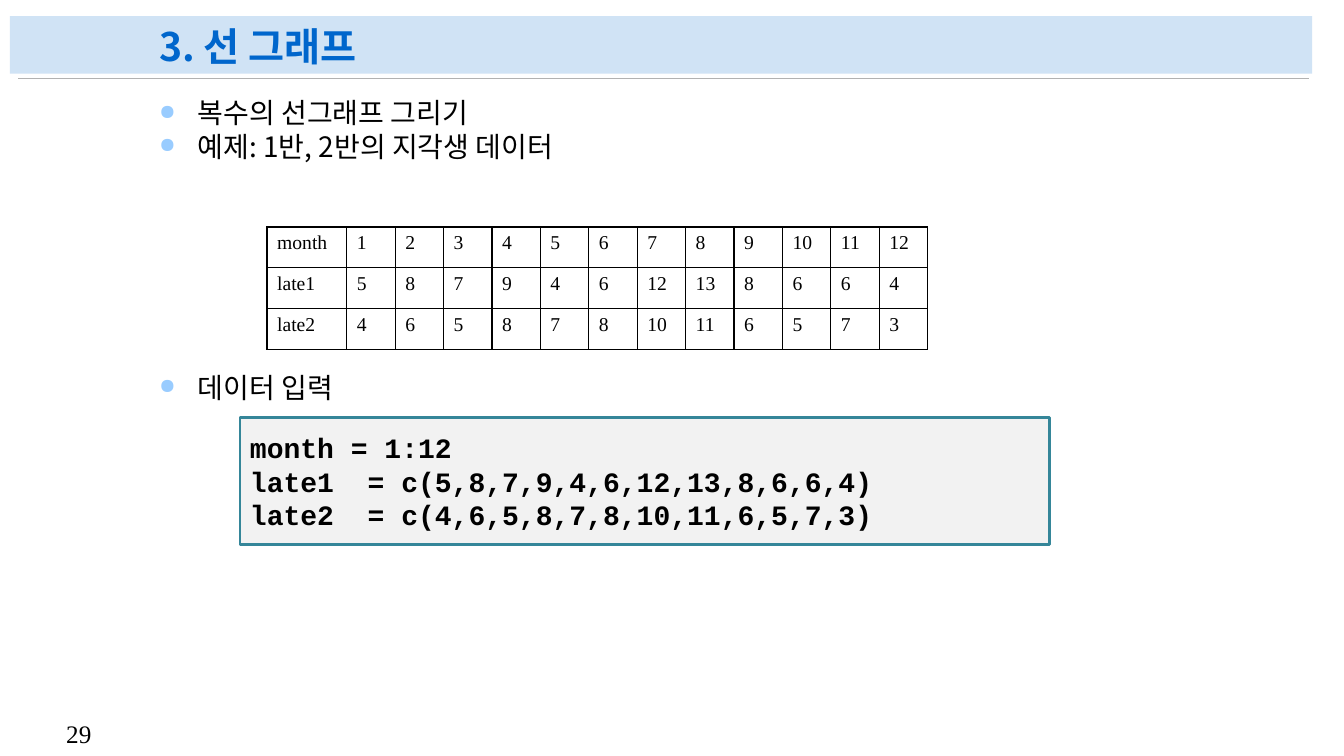
from lxml import etree
from pptx import Presentation
from pptx import util as u
from pptx.dml.color import RGBColor
from pptx.enum import shapes, text
from pptx.oxml import ns

BLACK = RGBColor(0x00, 0x00, 0x00)
WHITE = RGBColor(0xFF, 0xFF, 0xFF)
TITLE_BLUE = RGBColor(0x00, 0x66, 0xCC)
BAND_BLUE = RGBColor(0xD0, 0xE3, 0xF5)
BULLET_BLUE = RGBColor(0x99, 0xCC, 0xFF)
RULE_GREY = RGBColor(0xB2, 0xB2, 0xB2)
CODE_GREY = RGBColor(0xF2, 0xF2, 0xF2)
CODE_TEAL = RGBColor(0x35, 0x86, 0x99)

KOREAN, SERIF, MONO = "Noto Sans CJK KR", "Times New Roman", "Courier New"

MONTHS = range(1, 13)
LATE = {
    "late1": [5, 8, 7, 9, 4, 6, 12, 13, 8, 6, 6, 4],
    "late2": [4, 6, 5, 8, 7, 8, 10, 11, 6, 5, 7, 3],
}


def add_xml(parent, tag, **attributes):
    return etree.SubElement(parent, ns.qn(tag), attributes)


class LessonSlide:
    """Holds the current slide and draws each kind of element in its style."""

    def __init__(self, deck):
        self.shapes = deck.slides.add_slide(deck.slide_layouts[6]).shapes

    def style(self, paragraph, font, size, color=BLACK, bold=False):
        for run in paragraph.runs:
            run.font.name = font
            run.font.size = u.Pt(size)
            run.font.bold = bold
            run.font.color.rgb = color
            add_xml(run._r.get_or_add_rPr(), "a:ea", typeface=font)

    def rect(self, left, top, width, height, fill, border=None):
        box = self.shapes.add_shape(shapes.MSO_SHAPE.RECTANGLE, u.Cm(left),
                                    u.Cm(top), u.Cm(width), u.Cm(height))
        box.shadow.inherit = False
        box.fill.solid()
        box.fill.fore_color.rgb = fill
        if border is None:
            box.line.fill.background()
        else:
            box.line.color.rgb = border
            box.line.width = u.Pt(2)
        return box

    def rule(self, left, right, y):
        rule = self.shapes.add_connector(shapes.MSO_CONNECTOR.STRAIGHT, u.Cm(left),
                                         u.Cm(y), u.Cm(right), u.Cm(y))
        rule.line.color.rgb = RULE_GREY
        rule.line.width = u.Pt(0.5)
        add_xml(rule._element.spPr, "a:effectLst")

    def text_frame(self, left, top, width, height, content, wrap=True):
        frame = self.shapes.add_textbox(u.Cm(left), u.Cm(top), u.Cm(width),
                                        u.Cm(height)).text_frame
        frame.word_wrap = wrap
        frame.text = content
        return frame

    def title(self, content):
        frame = self.text_frame(3.76, 0.43, 25.55, 1.47, content)
        frame.vertical_anchor = text.MSO_ANCHOR.BOTTOM
        heading = frame.paragraphs[0]
        heading.line_spacing = 0.9
        self.style(heading, KOREAN, 28, TITLE_BLUE, bold=True)

    def page_number(self, number):
        frame = self.text_frame(1.42, 17.98, 1.27, 1.02, str(number), wrap=False)
        self.style(frame.paragraphs[0], SERIF, 18)

    def bullets(self, top, items):
        frame = self.text_frame(3.76, top, 25.55, len(items) + 0.25, "\n".join(items))
        indent = u.Cm(0.97)
        for index, item in enumerate(frame.paragraphs):
            item.line_spacing = 0.9
            item.space_before = u.Pt(2 if index else 0)
            props = item._p.get_or_add_pPr()
            props.set("marL", str(indent))
            props.set("indent", str(-indent))
            add_xml(add_xml(props, "a:buClr"), "a:srgbClr", val=str(BULLET_BLUE))
            add_xml(props, "a:buSzPct", val="75000")
            add_xml(props, "a:buChar", char="●")
            self.style(item, KOREAN, 20)

    def table(self, left, top, label_width, value_width, row_height, rows):
        columns = len(rows[0])
        grid = self.shapes.add_table(
            len(rows), columns, u.Cm(left), u.Cm(top),
            u.Cm(label_width + value_width * (columns - 1)),
            u.Cm(row_height * len(rows))).table
        for index, column in enumerate(grid.columns):
            column.width = u.Cm(value_width if index else label_width)
        for grid_row, values in zip(grid.rows, rows):
            grid_row.height = u.Cm(row_height)
            for cell, value in zip(grid_row.cells, values):
                cell.text_frame.text = str(value)
                self.style(cell.text_frame.paragraphs[0], SERIF, 14)
                self.cell_borders(cell)
                cell.fill.solid()
                cell.fill.fore_color.rgb = WHITE

    def cell_borders(self, cell):
        props = cell._tc.get_or_add_tcPr()
        for side in ("a:lnL", "a:lnR", "a:lnT", "a:lnB"):
            edge = add_xml(props, side, w=str(u.Pt(1)))
            add_xml(add_xml(edge, "a:solidFill"), "a:srgbClr", val=str(BLACK))

    def code(self, left, top, width, height, lines):
        frame = self.rect(left, top, width, height, CODE_GREY, CODE_TEAL).text_frame
        frame.word_wrap = True
        frame.vertical_anchor = text.MSO_ANCHOR.MIDDLE
        frame.text = "\n".join(lines)
        for line in frame.paragraphs:
            line.alignment = text.PP_ALIGN.LEFT
            self.style(line, MONO, 20, bold=True)


def main():
    deck = Presentation()
    deck.slide_width, deck.slide_height = u.Cm(33.87), u.Cm(19.05)
    slide = LessonSlide(deck)

    slide.rect(0.25, 0.41, 32.82, 1.45, BAND_BLUE)
    slide.rule(0.46, 32.99, 1.98)
    slide.page_number(29)
    slide.title("3. 선 그래프")
    slide.bullets(2.39, ["복수의 선그래프 그리기", "예제: 1반, 2반의 지각생 데이터"])
    slide.bullets(9.3, ["데이터 입력"])

    late_rows = [[name, *counts] for name, counts in LATE.items()]
    slide.table(6.73, 5.72, 2.01, 1.22, 1.03, [["month", *MONTHS], *late_rows])

    assignments = [f"{name}  = c({','.join(map(str, counts))})"
                   for name, counts in LATE.items()]
    slide.code(6.05, 10.52, 20.4, 3.2, ["month = 1:12", *assignments])

    deck.save("out.pptx")


if __name__ == "__main__":
    main()
